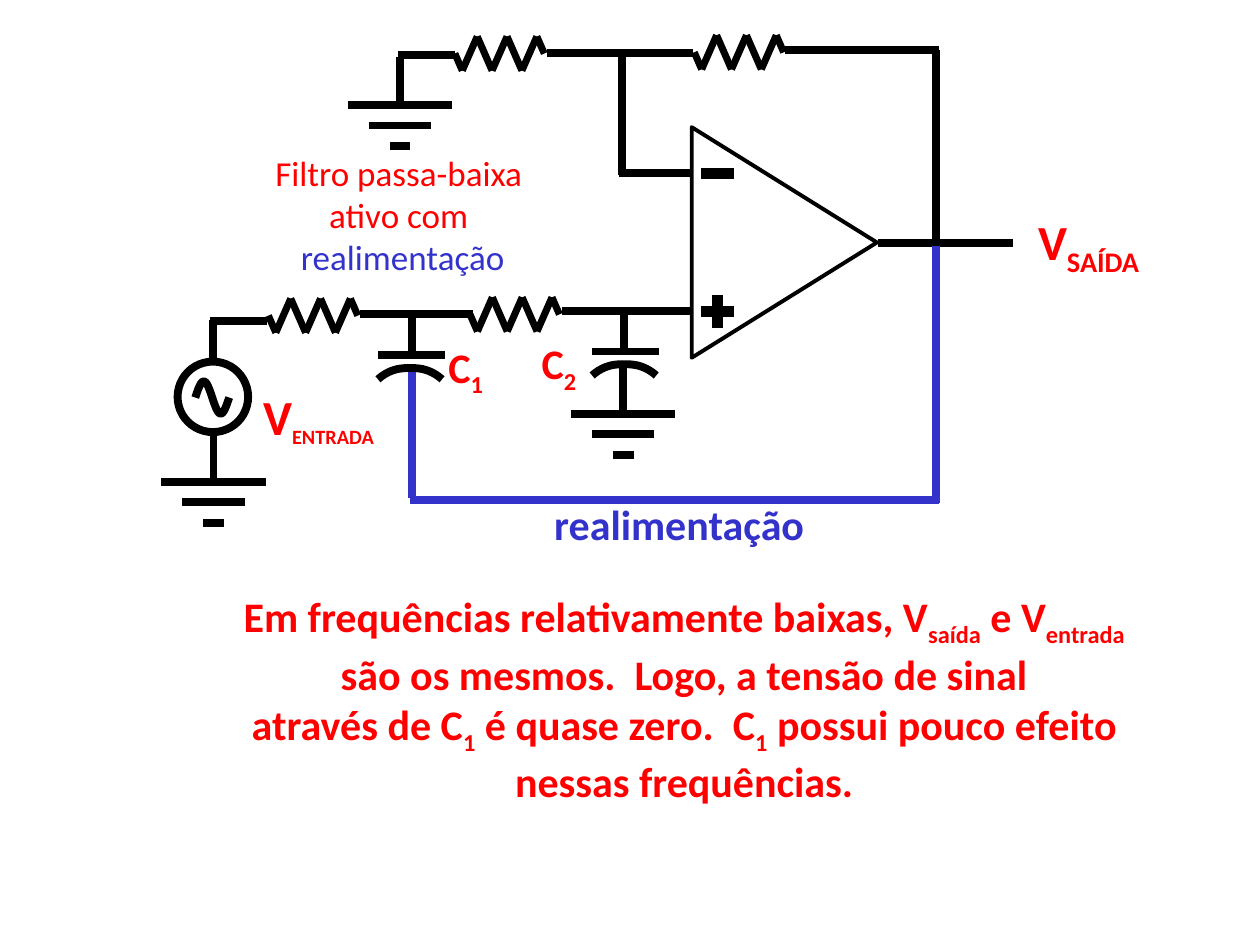
from itertools import pairwise
from math import pi, sin

from lxml.etree import SubElement
from pptx import Presentation
from pptx.dml.color import RGBColor as Rgb
from pptx.enum.shapes import MSO_CONNECTOR as Conn, MSO_SHAPE as Form
from pptx.enum.text import MSO_AUTO_SIZE as Fit, PP_ALIGN as Align
from pptx.oxml.ns import qn
from pptx.util import Inches, Pt

INK = {"black": "000000", "red": "FF0000", "blue": "3333CC"}
FONT = "Calibri"
WIDE, HIGH = Inches(10), Inches(7.5)
UNIT = WIDE / 100  # grid of 100 columns by 75 rows, square cells


def cell(n):
    return round(n * UNIT)


def paint(line, ink="black", width=4.5):
    line.color.rgb = Rgb.from_string(INK[ink])
    line.width = Pt(width)


def wire(parts, x1, y1, x2, y2, ink="black", width=4.5):
    link = parts.add_connector(Conn.STRAIGHT, *map(cell, (x1, y1, x2, y2)))
    paint(link.line, ink, width)
    SubElement(link._element.spPr, qn("a:effectLst"))


def hollow(shape, width=4.5):
    shape.shadow.inherit = False
    shape.fill.background()
    paint(shape.line, "black", width)


def curve(parts, dots):
    first, *rest = [(cell(x), cell(y)) for x, y in dots]
    pen = parts.build_freeform(*first, scale=1.0)
    pen.add_line_segments(rest, close=False)
    hollow(pen.convert_to_shape())


def group(slide):
    return slide.shapes.add_group_shape().shapes


def zigzag(slide, x, y, w, h):
    """Resistor: half strokes at the ends, full strokes between."""
    parts = group(slide)
    cols = [0, *(n / 12 for n in range(1, 12, 2)), 1]
    rows = [0.5, 1, 0, 1, 0, 1, 0, 0.5]
    dots = [(x + w * c, y + h * r) for c, r in zip(cols, rows)]
    for start, end in pairwise(dots):
        wire(parts, *start, *end, width=4)


def ground(slide, x, y, w, h):
    parts = group(slide)
    for inset, row in ((0, 0.54), (0.2, 0.77), (0.4, 1)):
        wire(parts, x + w * inset, y + h * row, x + w * (1 - inset), y + h * row)
    wire(parts, x + w / 2, y, x + w / 2, y + h * 0.54)


def plates(slide, x, y, w, h):
    """Capacitor: a flat plate above a curved one."""
    parts = group(slide)
    wire(parts, x, y, x + w, y)
    steps = [n / 10 for n in range(-10, 11)]
    curve(parts, [(x + w * 0.48 * (1 + t), y + h * (0.53 + 0.47 * abs(t) ** 2.5))
                  for t in steps])


def source(slide, x, y, w, h):
    """AC source: a ring around one sine wave."""
    parts = group(slide)
    hollow(parts.add_shape(Form.OVAL, *map(cell, (x, y, w, h))))
    steps = [n / 24 for n in range(25)]
    curve(parts, [(x + w * (0.25 + 0.48 * t), y + h * (0.51 - 0.23 * sin(2 * pi * t)))
                  for t in steps])


def op_amp(slide, x, y, w, h):
    parts = group(slide)
    left, top = x + (w - h) / 2, y + (h - w) / 2
    body = parts.add_shape(Form.ISOSCELES_TRIANGLE, *map(cell, (left, top, h, w)))
    body.rotation = 90
    hollow(body, 2.25)
    mid, arm = x + w * 0.14, w * 0.09
    low = y + h * 0.8
    for row in (y + h * 0.2, low):
        wire(parts, mid - arm, row, mid + arm, row, width=6)
    wire(parts, mid, low - arm, mid, low + arm, width=6)


def label(slide, box, lines, size, bold=True, align=Align.LEFT):
    """Each line is a list of runs: (text, ink, lowered, own size)."""
    frame = slide.shapes.add_textbox(*map(cell, box)).text_frame
    frame.word_wrap = False
    frame.auto_size = Fit.SHAPE_TO_FIT_TEXT
    for n, line in enumerate(lines):
        para = frame.add_paragraph() if n else frame.paragraphs[0]
        para.alignment = align
        for text, ink, low, own in line:
            run = para.add_run()
            run.text = text
            font = run.font
            font.name, font.size, font.bold = FONT, Pt(own or size), bold
            font.color.rgb = Rgb.from_string(INK[ink])
            if low:
                font._element.set("baseline", "-25000")


def up(text, ink="red"):
    return text, ink, False, None


def sub(text, size=None):
    return text, "red", True, size


def wiring(slide):
    paths = {
        "black": [
            (69.7, 19.3, 80.4, 19.3),  # output
            (54.9, 24.7, 44.6, 24.7), (54.9, 13.7, 49.1, 13.7),  # inputs
            (49.4, 13.9, 49.4, 4), (43.4, 4.2, 55, 4.2),
            (62.3, 4, 74.5, 4), (74.3, 19.3, 74.3, 4),
            (36.1, 4.4, 31.6, 4.4),
            (37.5, 24.9, 28.6, 24.9), (21.2, 25.5, 16.7, 25.5),
            (16.9, 25.4, 16.9, 28.6),
            (49.5, 27.8, 49.5, 24.8), (32.7, 28, 32.7, 25.1),
        ],
        "blue": [  # feedback loop
            (74.3, 19.5, 74.3, 39.9), (32.5, 39.7, 74.5, 39.7),
            (32.7, 29.4, 32.7, 39.5),
        ],
    }
    for ink, runs in paths.items():
        for ends in runs:
            wire(slide.shapes, *ends, ink)


def circuit(slide):
    wiring(slide)
    op_amp(slide, 54.9, 10.1, 14.7, 18.3)
    for x, y in ((36.1, 2.9), (55.1, 2.8), (21.3, 23.7), (37.3, 23.6)):
        zigzag(slide, x, y, 7.1, 2.7)
    for x, y in ((27.6, 4.5), (12.8, 34.4), (45.3, 29)):
        ground(slide, x, y, 8.3, 7.1)
    for x, y in ((47, 27.9), (30, 28.2)):
        plates(slide, x, y, 5.3, 1.9)
    source(slide, 14.1, 28.7, 5.6, 5.6)


def captions(slide):
    label(slide, (19.9, 30.2, 10.8, 5.9), [[up("V"), sub("ENTRADA", 20)]], 28)
    label(slide, (81.4, 16.3, 10.1, 6.3), [[up("V"), sub("SAÍDA")]], 28)
    # Capacitor names, with room for the subscript on the same line
    for x, y, digit in ((34.6, 26.6, "1"), (42, 26.3, "2")):
        label(slide, (x, y, 5.2, 5.6), [[up("C"), sub(digit)]], 24)
    label(slide, (43, 39.1, 21.9, 5), [[up("realimentação", "blue")]], 24)
    # Circuit name
    label(slide, (20.8, 11.5, 21.7, 11), [
        [up("Filtro passa-baixa")],
        [up("ativo com")],
        [up(" realimentação", "blue")],
    ], 20, False, Align.CENTER)


def remark(slide):
    label(slide, (18.2, 46.4, 72.2, 18.1), [
        [up("Em frequências relativamente baixas, V"), sub("saída"),
         up(" e V"), sub("entrada")],
        [up("são os mesmos.  Logo, a tensão de sinal")],
        [up("através de C"), sub("1"), up(" é quase zero.  C"), sub("1"),
         up(" possui pouco efeito")],
        [up("nessas frequências.")],
    ], 24, align=Align.CENTER)


def main():
    deck = Presentation()
    deck.slide_width, deck.slide_height = WIDE, HIGH
    slide = deck.slides.add_slide(deck.slide_layouts[6])
    circuit(slide)
    captions(slide)
    remark(slide)
    deck.save("out.pptx")


if __name__ == "__main__":
    main()
